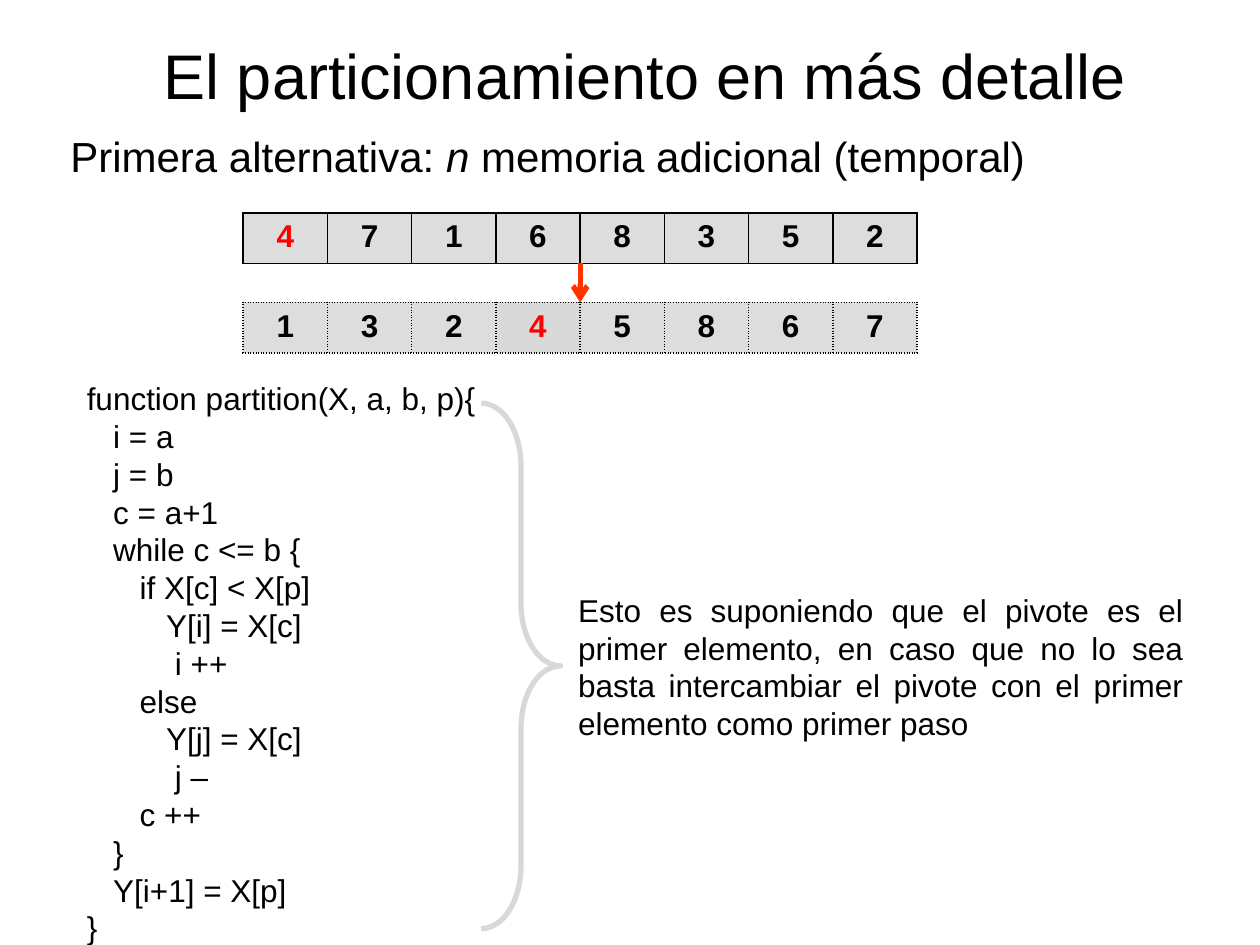
from pptx import Presentation
from pptx.dml.color import RGBColor
from pptx.enum.shapes import MSO_CONNECTOR, MSO_SHAPE
from pptx.enum.text import MSO_ANCHOR, MSO_AUTO_SIZE, PP_ALIGN
from pptx.oxml.ns import qn
from pptx.util import Inches, Pt
from lxml import etree

BLACK = RGBColor(0x00, 0x00, 0x00)
RED = RGBColor(0xFF, 0x00, 0x00)
ORANGE = RGBColor(0xFF, 0x33, 0x00)
CELL_GREY = RGBColor(0xDD, 0xDD, 0xDD)
PIVOT_GREY = RGBColor(0xD9, 0xD9, 0xD9)
BRACE_GREY = RGBColor(0xD8, 0xD8, 0xD8)
CENTER, JUSTIFY = PP_ALIGN.CENTER, PP_ALIGN.JUSTIFY
BOTTOM, TOP = MSO_ANCHOR.BOTTOM, MSO_ANCHOR.TOP
NO_FIT, GROW = MSO_AUTO_SIZE.NONE, MSO_AUTO_SIZE.SHAPE_TO_FIT_TEXT
LINE, BRACE = MSO_CONNECTOR.STRAIGHT, MSO_SHAPE.RIGHT_BRACE

FONT = "Arial"
TITLE_ONLY = 5
SPACE = 0.07  # width of one code column
ROW_H = 0.4
ARRAY_X, ARRAY_W = 1.93, 5.35
BEFORE_Y, AFTER_Y = 1.69, 2.4

BEFORE = [4, 7, 1, 6, 8, 3, 5, 2]
AFTER = [1, 3, 2, 4, 5, 8, 6, 7]
PIVOT = BEFORE[0]

# (indent in columns, line of code)
CODE = [
    (0, "function partition(X, a, b, p){"),
    (3, "i = a"),
    (3, "j = b"),
    (3, "c = a+1"),
    (3, "while c <= b {"),
    (6, "if X[c] < X[p]"),
    (9, "Y[i] = X[c]"),
    (10, "i ++"),
    (6, "else"),
    (9, "Y[j] = X[c]"),
    (10, "j –"),
    (6, "c ++"),
    (3, "}"),
    (3, "Y[i+1] = X[p]"),
    (0, "}"),
]
NOTE = ("Esto es suponiendo que el pivote es el primer elemento, en caso que no "
        "lo sea basta intercambiar el pivote con el primer elemento como primer paso")


def inches(*values):
    return [Inches(v) for v in values]


def add_run(p, text, size=18, color=BLACK, bold=False, italic=False, align=JUSTIFY):
    p.alignment = align
    r = p.add_run()
    r.text = text
    r.font.name, r.font.size = FONT, Pt(size)
    r.font.bold, r.font.italic = bold, italic
    r.font.color.rgb = color


def add_text_box(slide, box, auto_size=NO_FIT):
    tf = slide.shapes.add_textbox(*inches(*box)).text_frame
    tf.word_wrap = True
    tf.auto_size = auto_size
    return tf


def add_title(slide, box, text):
    sp = slide.shapes.title
    sp.left, sp.top, sp.width, sp.height = inches(*box)
    tf = sp.text_frame
    tf.auto_size = NO_FIT
    tf.vertical_anchor = BOTTOM
    add_run(tf.paragraphs[0], text, size=36, align=CENTER)


def add_subtitle(slide, box):
    p = add_text_box(slide, box).paragraphs[0]
    add_run(p, "Primera alternativa: ", size=24)
    add_run(p, "n", size=24, italic=True)
    add_run(p, " memoria adicional (temporal)", size=24)


def set_borders(cell, dash):
    tc_pr = cell._tc.get_or_add_tcPr()
    for i, side in enumerate(("a:lnL", "a:lnR", "a:lnT", "a:lnB")):
        ln = etree.Element(qn(side), w=str(Pt(1)))
        fill = etree.SubElement(ln, qn("a:solidFill"))
        etree.SubElement(fill, qn("a:srgbClr"), val=str(BLACK))
        etree.SubElement(ln, qn("a:prstDash"), val=dash)
        tc_pr.insert(i, ln)


def add_array(slide, box, values, dash="solid", pivot_fill=CELL_GREY):
    table = slide.shapes.add_table(1, len(values), *inches(*box)).table
    table.first_row = table.horz_banding = False
    for i, value in enumerate(values):
        table.columns[i].width = Inches(box[2] / len(values))
        cell = table.cell(0, i)
        is_pivot = value == PIVOT
        cell.fill.solid()
        cell.fill.fore_color.rgb = pivot_fill if is_pivot else CELL_GREY
        cell.vertical_anchor = TOP
        add_run(cell.text_frame.paragraphs[0], str(value), bold=True, align=CENTER,
                color=RED if is_pivot else BLACK)
        set_borders(cell, dash)


def add_arrow(slide, x, top, bottom):
    line = slide.shapes.add_connector(LINE, *inches(x, top, x, bottom))
    line.line.color.rgb = ORANGE
    line.line.width = Pt(3)
    etree.SubElement(line.line._get_or_add_ln(), qn("a:tailEnd"), type="arrow")
    etree.SubElement(line._element.spPr, qn("a:effectLst"))


def add_code(slide, box):
    tf = add_text_box(slide, box, GROW)
    for i, (indent, text) in enumerate(CODE):
        p = tf.add_paragraph() if i else tf.paragraphs[0]
        p._p.get_or_add_pPr().set("marL", str(Inches(indent * SPACE)))
        add_run(p, text)


def add_brace(slide, box):
    sp = slide.shapes.add_shape(BRACE, *inches(*box))
    sp.shadow.inherit = False
    sp.adjustments[0], sp.adjustments[1] = 0.79, 0.5
    sp.fill.background()
    sp.line.color.rgb = BRACE_GREY
    sp.line.width = Pt(3)


def main():
    prs = Presentation()
    prs.slide_width, prs.slide_height = inches(10, 7.5)
    slide = prs.slides.add_slide(prs.slide_layouts[TITLE_ONLY])

    # Heading
    add_title(slide, (0.83, 0.13, 8.58, 0.81), "El particionamiento en más detalle")
    add_subtitle(slide, (0.46, 0.99, 9.14, 0.55))

    # Array before and after partitioning
    add_array(slide, (ARRAY_X, BEFORE_Y, ARRAY_W, ROW_H), BEFORE)
    add_array(slide, (ARRAY_X, AFTER_Y, ARRAY_W, ROW_H), AFTER, "sysDot", PIVOT_GREY)
    add_arrow(slide, ARRAY_X + ARRAY_W / 2, BEFORE_Y + ROW_H, AFTER_Y)

    # Pseudocode with its remark
    add_code(slide, (0.59, 2.96, 3.39, 4.65))
    add_run(add_text_box(slide, (4.49, 4.64, 5, 1.31), GROW).paragraphs[0], NOTE)
    add_brace(slide, (3.82, 3.2, 0.63, 4.17))

    prs.save("out.pptx")


if __name__ == "__main__":
    main()
